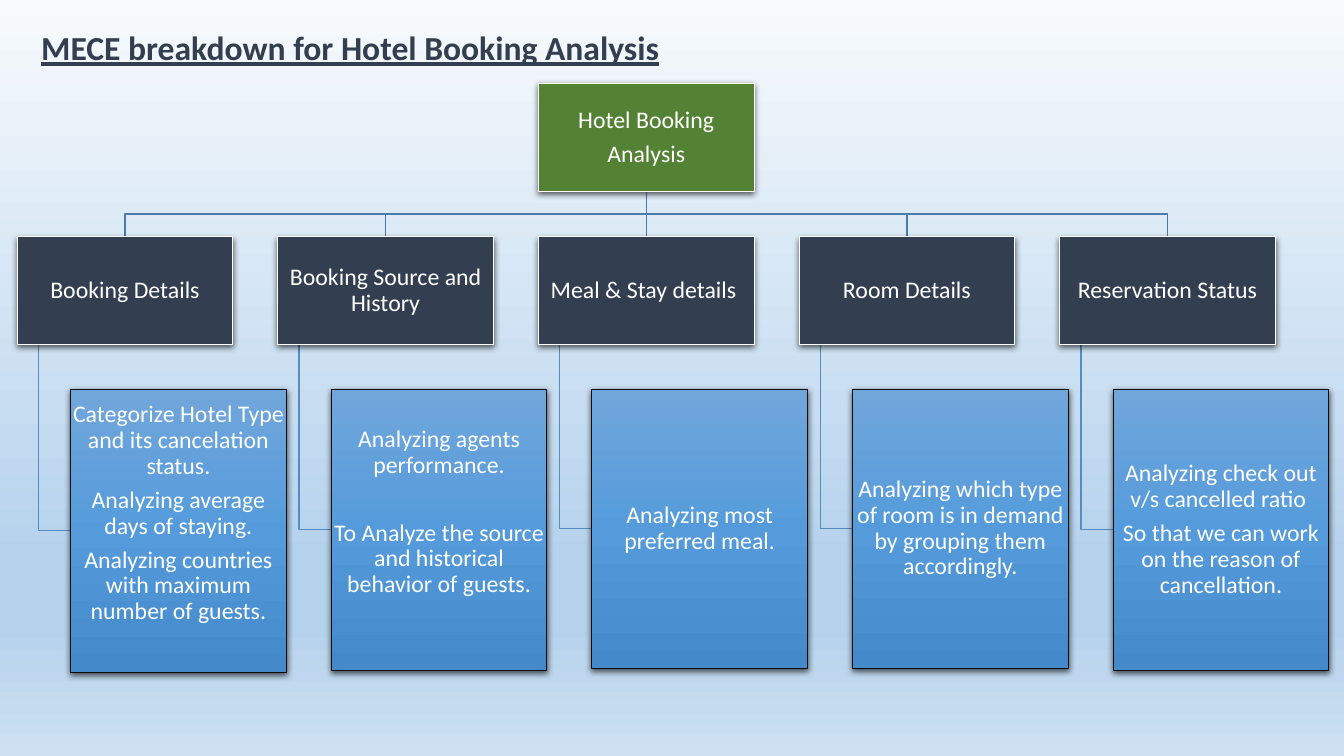
import pptx
import pptx.util
import pptx.dml.color
import pptx.enum.shapes
import pptx.enum.text
import pptx.oxml
import pptx.oxml.ns
from lxml import etree
from pptx.util import Inches

COLOURS = {
    "root": "548235", "navy": "333F50", "white": "FFFFFF", "edge": "0D0D0D",
    "upper line": "497CAB", "lower line": "538DC1", "shadow": "000000",
}
DETAIL_STOPS = [(0, "71A6DB"), (50, "559BDB"), (100, "448ACA")]
PAGE_STOPS = [(0, "F7FAFD"), (74, "B5D2EC"), (83, "B5D2EC"), (100, "CEE1F2")]

BOX_WIDTH, BOX_HEIGHT = 2.14, 1.07
FIRST_LEFT, PITCH = 0.17, (10.51 - 0.17) / 4
ROOT_TOP, HEADING_TOP, DETAIL_TOP = 0.83, 2.35, 3.86
ROOT_LEFT = FIRST_LEFT + 2 * PITCH
DETAIL_INDENT, STEM_INDENT = 0.53, 0.21
INSET, RAISED_INSET = 0.01, 0.35
GAP, WIDE_GAP = 6, 30

# Heading, detail height, bottom inset, space after, detail paragraphs
BRANCHES = [
    ("Booking Details", 2.81, RAISED_INSET, GAP,
     ["Categorize Hotel Type and its cancelation status.",
      "Analyzing average days of staying.",
      "Analyzing countries with maximum number of guests."]),
    ("Booking Source and History", 2.79, RAISED_INSET, WIDE_GAP,
     ["Analyzing agents performance.",
      "To Analyze the source and historical behavior of guests."]),
    ("Meal & Stay details ", 2.77, INSET, GAP,
     ["Analyzing most preferred meal."]),
    ("Room Details", 2.77, INSET, GAP,
     ["Analyzing which type of room is in demand by grouping them accordingly."]),
    ("Reservation Status", 2.79, INSET, GAP,
     ["Analyzing check out v/s cancelled ratio ",
      "So that we can work on the reason of cancellation."]),
]


def colour(name):
    return pptx.dml.color.RGBColor.from_string(COLOURS[name])


def add_child(parent, tag, **attributes):
    child = etree.SubElement(parent, pptx.oxml.ns.qn(tag))
    for key, value in attributes.items():
        child.set(key, str(value))
    return child


def set_gradient(fill, element, stops):
    """Fill from top to bottom with the given (percent, colour) stops."""
    fill.gradient()
    fill.gradient_angle = 270
    stop_list = element.xpath(".//a:gsLst")[0]
    for stop in list(stop_list):
        stop_list.remove(stop)
    for percent, value in stops:
        stop = add_child(stop_list, "a:gs", pos=percent * 1000)
        add_child(stop, "a:srgbClr", val=value)


def add_shadow(shape):
    shape.shadow.inherit = False
    effects = shape._element.spPr.find(pptx.oxml.ns.qn("a:effectLst"))
    shadow = add_child(effects, "a:outerShdw", blurRad=57150, dist=19050,
                       dir=5400000, algn="ctr", rotWithShape=0)
    tint = add_child(shadow, "a:srgbClr", val=COLOURS["shadow"])
    add_child(tint, "a:alpha", val=63000)


def add_span(para, text, size, colour_name):
    span = para.add_run()
    span.text = text
    span.font.name = "Calibri"
    span.font.size = pptx.util.Pt(size)
    span.font.color.rgb = colour(colour_name)
    return span


def add_box(page, left, top, height, paragraphs, fill_name=None,
            bottom_inset=INSET, gap=GAP):
    """A chart box; without a fill name it gets the detail gradient."""
    box = page.shapes.add_shape(
        pptx.enum.shapes.MSO_SHAPE.RECTANGLE,
        Inches(left), Inches(top), Inches(BOX_WIDTH), Inches(height))
    if fill_name:
        box.fill.solid()
        box.fill.fore_color.rgb = colour(fill_name)
    else:
        set_gradient(box.fill, box._element, DETAIL_STOPS)
    box.line.color.rgb = colour("white" if fill_name else "edge")
    box.line.width = pptx.util.Pt(0.75)
    add_shadow(box)

    frame = box.text_frame
    frame.word_wrap = True
    frame.vertical_anchor = pptx.enum.text.MSO_ANCHOR.MIDDLE
    frame.margin_left = frame.margin_right = frame.margin_top = Inches(INSET)
    frame.margin_bottom = Inches(bottom_inset)
    for number, text in enumerate(paragraphs):
        para = frame.add_paragraph() if number else frame.paragraphs[0]
        para.alignment = pptx.enum.text.PP_ALIGN.CENTER
        para.line_spacing = 0.9
        para.space_after = pptx.util.Pt(gap)
        add_span(para, text, 17, "white")


def add_link(page, points, colour_name):
    """A straight connector for two points, an open outline for more."""
    corners = [(Inches(x), Inches(y)) for x, y in points]
    if len(corners) == 2:
        link = page.shapes.add_connector(
            pptx.enum.shapes.MSO_CONNECTOR.STRAIGHT, *corners[0], *corners[1])
        add_child(link._element.spPr, "a:effectLst")
    else:
        builder = page.shapes.build_freeform(*corners[0])
        builder.add_line_segments(corners[1:], close=False)
        link = builder.convert_to_shape()
        link.fill.background()
        link.shadow.inherit = False
    link.line.color.rgb = colour(colour_name)
    link.line.width = pptx.util.Pt(1)


def add_branch_links(page, left, detail_height):
    # Heading to detail
    stem = left + STEM_INDENT
    middle = DETAIL_TOP + detail_height / 2
    add_link(page, [(stem, HEADING_TOP + BOX_HEIGHT), (stem, middle),
                    (left + DETAIL_INDENT, middle)], "lower line")
    # Root to heading
    start, end = ROOT_LEFT + BOX_WIDTH / 2, left + BOX_WIDTH / 2
    root_bottom = ROOT_TOP + BOX_HEIGHT
    bus = (root_bottom + HEADING_TOP) / 2
    bends = [] if left == ROOT_LEFT else [(start, bus), (end, bus)]
    add_link(page, [(start, root_bottom), *bends, (end, HEADING_TOP)],
             "upper line")


def add_title(page, text):
    box = page.shapes.add_textbox(
        Inches(0.31), Inches(0.22), Inches(8.57), Inches(0.5))
    box.text_frame.word_wrap = True
    box.text_frame.auto_size = pptx.enum.text.MSO_AUTO_SIZE.SHAPE_TO_FIT_TEXT
    span = add_span(box.text_frame.paragraphs[0], text, 24, "navy")
    span.font.bold = True
    span.font.underline = True


def main():
    deck = pptx.Presentation()
    deck.slide_width, deck.slide_height = Inches(13.33), Inches(7.5)
    page = deck.slides.add_slide(deck.slide_layouts[6])
    set_gradient(page.background.fill, page._element, PAGE_STOPS)

    # Links lie behind the boxes
    lefts = [FIRST_LEFT + PITCH * column for column in range(len(BRANCHES))]
    for left, branch in zip(lefts, BRANCHES):
        add_branch_links(page, left, branch[1])

    # Boxes
    add_box(page, ROOT_LEFT, ROOT_TOP, BOX_HEIGHT,
            ["Hotel Booking", "Analysis"], "root")
    for left, (heading, height, bottom, gap, details) in zip(lefts, BRANCHES):
        add_box(page, left, HEADING_TOP, BOX_HEIGHT, [heading], "navy")
        add_box(page, left + DETAIL_INDENT, DETAIL_TOP, height, details,
                bottom_inset=bottom, gap=gap)

    add_title(page, "MECE breakdown for Hotel Booking Analysis")
    deck.save("out.pptx")


main()
